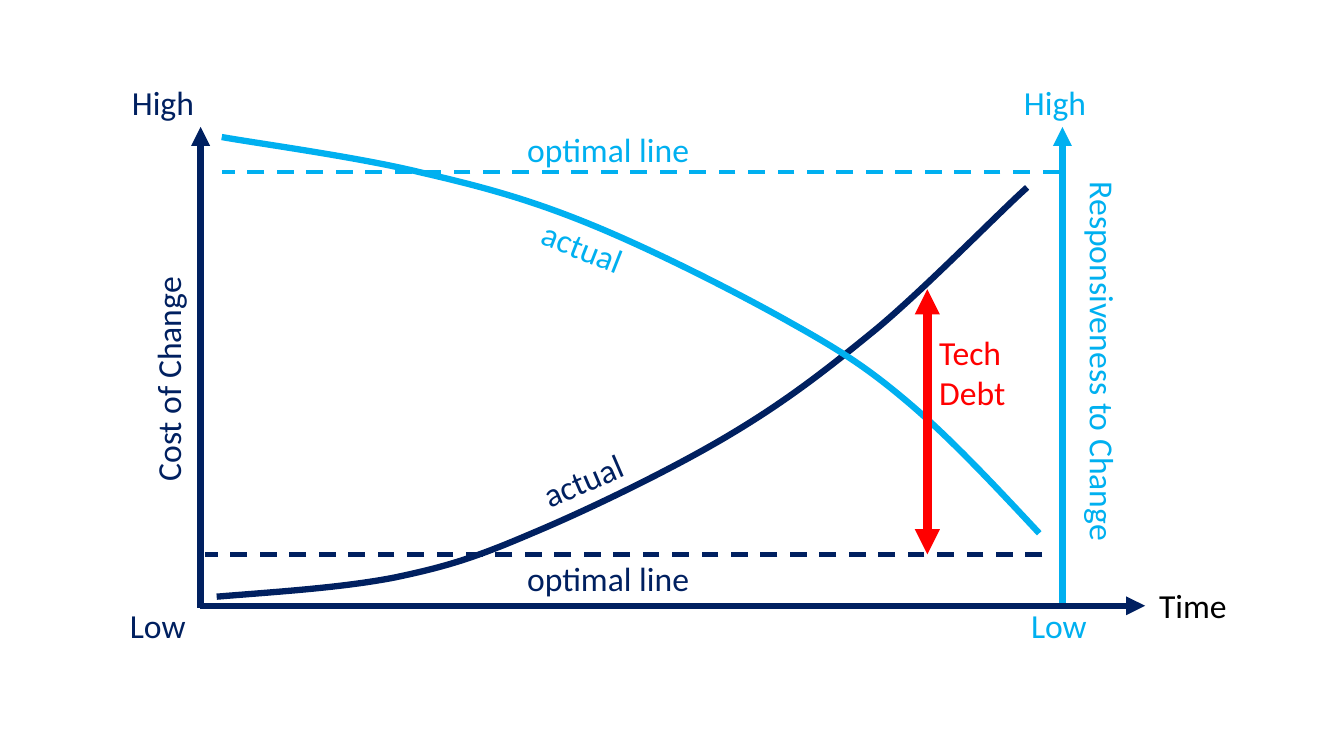
from dataclasses import dataclass

from lxml import etree
from pptx import Presentation
from pptx.dml.color import RGBColor
from pptx.enum.dml import MSO_LINE
from pptx.enum.shapes import MSO_CONNECTOR
from pptx.enum.text import MSO_AUTO_SIZE
from pptx.oxml.ns import qn
from pptx.slide import Slide
from pptx.util import Pt

STRAIGHT = MSO_CONNECTOR.STRAIGHT
DASH = MSO_LINE.DASH
FIT_SHAPE = MSO_AUTO_SIZE.SHAPE_TO_FIT_TEXT

COLORS = {"cost": "002060", "response": "00B0F0", "debt": "FF0000", "time": "000000"}
FONT = "Calibri"
FONT_SIZE = 24
AXIS_WIDTH = 4.5
LABEL_HEIGHT = 36

# Shared positions of the diagram, in points
COST_AXIS_X, RESPONSE_AXIS_X = 143.3, 758.9
AXIS_TOP, AXIS_BOTTOM, TIME_AXIS_Y = 90.7, 434.2, 432.7
HIGH_TOP, LOW_TOP = 54.7, 428.4
RESPONSE_OPTIMUM_Y, COST_OPTIMUM_Y = 123.1, 396
OPTIMAL_LEFT, ACTUAL_LEFT = 369.4, 379.4


@dataclass
class Label:
    text: str
    color: str
    left: float
    top: float
    width: float
    height: float = LABEL_HEIGHT
    rotation: float = 0


@dataclass
class Line:
    color: str
    start: tuple[float, float]
    end: tuple[float, float]
    width: float = AXIS_WIDTH
    dashed: bool = False
    arrows: tuple[str, ...] = ()


@dataclass
class Curve:
    """A chain of cubic Bezier segments: a start, then three points for each."""
    color: str
    points: list[tuple[float, float]]


AXES = [
    Line("response", (RESPONSE_AXIS_X, AXIS_BOTTOM), (RESPONSE_AXIS_X, AXIS_TOP), arrows=("tailEnd",)),
    Line("cost", (142.6, TIME_AXIS_Y), (817.9, TIME_AXIS_Y), arrows=("tailEnd",)),
    Line("cost", (COST_AXIS_X, AXIS_BOTTOM), (COST_AXIS_X, AXIS_TOP), arrows=("tailEnd",)),
]
OPTIMAL_LINES = [
    Line("response", (756.7, RESPONSE_OPTIMUM_Y), (158.4, RESPONSE_OPTIMUM_Y), 3, dashed=True),
    Line("cost", (744.5, COST_OPTIMUM_Y), (146.2, COST_OPTIMUM_Y), 3, dashed=True),
]
TECH_DEBT = Line("debt", (662.4, 206.6), (662.4, COST_OPTIMUM_Y), 6, arrows=("headEnd", "tailEnd"))

CURVES = [
    Curve("cost", [
        (154.8, 426.2),
        (199.4, 422.6), (244.1, 419.8), (281.5, 412.6),
        (319.7, 404.6), (339.8, 398.2), (380.2, 380.9),
        (419.8, 364.3), (479.5, 335.5), (520.6, 311),
        (561.6, 286.6), (590.4, 264.2), (626.4, 234.7),
        (661.7, 205.2), (715, 150.5), (733.7, 133.9),
    ]),
    Curve("response", [
        (742.3, 380.9),
        (711.4, 347.8), (679.7, 313.9), (650.2, 288.7),
        (620.6, 263.5), (601.9, 251.3), (564.5, 230.4),
        (526.3, 208.8), (466.6, 178.6), (422.6, 160.6),
        (378.7, 142.6), (344.2, 133.2), (300.2, 123.1),
        (256.3, 112.3), (182.2, 102.2), (158.4, 97.9),
    ]),
]

LABELS = [
    Label("Cost of Change", "cost", 38.9, 252, 162, rotation=270),
    Label("High", "cost", 87.1, HIGH_TOP, 59),
    Label("Low", "cost", 85.7, LOW_TOP, 54.7),
    Label("Time", "time", 820.8, 414, 63.4),
    Label("Responsiveness to Change", "response", 648.7, 244.1, 278.6, rotation=90),
    Label("High", "response", 724.3, HIGH_TOP, 59),
    Label("Low", "response", 729.4, LOW_TOP, 54.7),
    Label("optimal line", "cost", OPTIMAL_LEFT, 395.3, 131.8),
    Label("optimal line", "response", OPTIMAL_LEFT, 88.6, 131.8),
    Label("actual", "response", ACTUAL_LEFT, 158.4, 74.2, rotation=21.6),
    Label("actual", "cost", ACTUAL_LEFT, 324.7, 74.2, rotation=336.7),
    Label("Tech\nDebt", "debt", 663.8, 233.3, 61.9, 65.5),
]


def rgb(color: str) -> RGBColor:
    return RGBColor.from_string(COLORS[color])


def add_label(page: Slide, label: Label) -> None:
    box = page.shapes.add_textbox(Pt(label.left), Pt(label.top), Pt(label.width), Pt(label.height))
    box.rotation = label.rotation
    frame = box.text_frame
    frame.word_wrap = False
    frame.auto_size = FIT_SHAPE
    frame.text = label.text
    for para in frame.paragraphs:
        para.font.name = FONT
        para.font.size = Pt(FONT_SIZE)
        para.font.color.rgb = rgb(label.color)


def add_line(page: Slide, line: Line) -> None:
    start_x, start_y = map(Pt, line.start)
    end_x, end_y = map(Pt, line.end)
    connector = page.shapes.add_connector(STRAIGHT, start_x, start_y, end_x, end_y)
    connector.line.color.rgb = rgb(line.color)
    connector.line.width = Pt(line.width)
    if line.dashed:
        connector.line.dash_style = DASH
    properties = connector.element.spPr
    outline = properties.find(qn("a:ln"))
    for arrow in line.arrows:
        etree.SubElement(outline, qn(f"a:{arrow}"), type="triangle")
    etree.SubElement(properties, qn("a:effectLst"))


def add_curve(page: Slide, curve: Curve) -> None:
    """Draw the points as an outline, then merge each three segments into a Bezier."""
    start, *rest = [(Pt(x), Pt(y)) for x, y in curve.points]
    builder = page.shapes.build_freeform(*start)
    builder.add_line_segments(rest, close=False)
    shape = builder.convert_to_shape()
    shape.shadow.inherit = False
    shape.fill.background()
    shape.line.color.rgb = rgb(curve.color)
    shape.line.width = Pt(AXIS_WIDTH)
    outline = next(shape.element.iter(qn("a:path")))
    segments = outline.findall(qn("a:lnTo"))
    for index in range(0, len(segments), 3):
        bezier = etree.SubElement(outline, qn("a:cubicBezTo"))
        for segment in segments[index:index + 3]:
            bezier.append(segment[0])
            outline.remove(segment)


def main() -> None:
    deck = Presentation()
    deck.slide_width, deck.slide_height = Pt(960), Pt(540)
    page = deck.slides.add_slide(deck.slide_layouts.get_by_name("Blank"))
    for line in AXES + OPTIMAL_LINES:
        add_line(page, line)
    for curve in CURVES:
        add_curve(page, curve)
    add_line(page, TECH_DEBT)
    for label in LABELS:
        add_label(page, label)
    deck.save("out.pptx")


if __name__ == "__main__":
    main()
